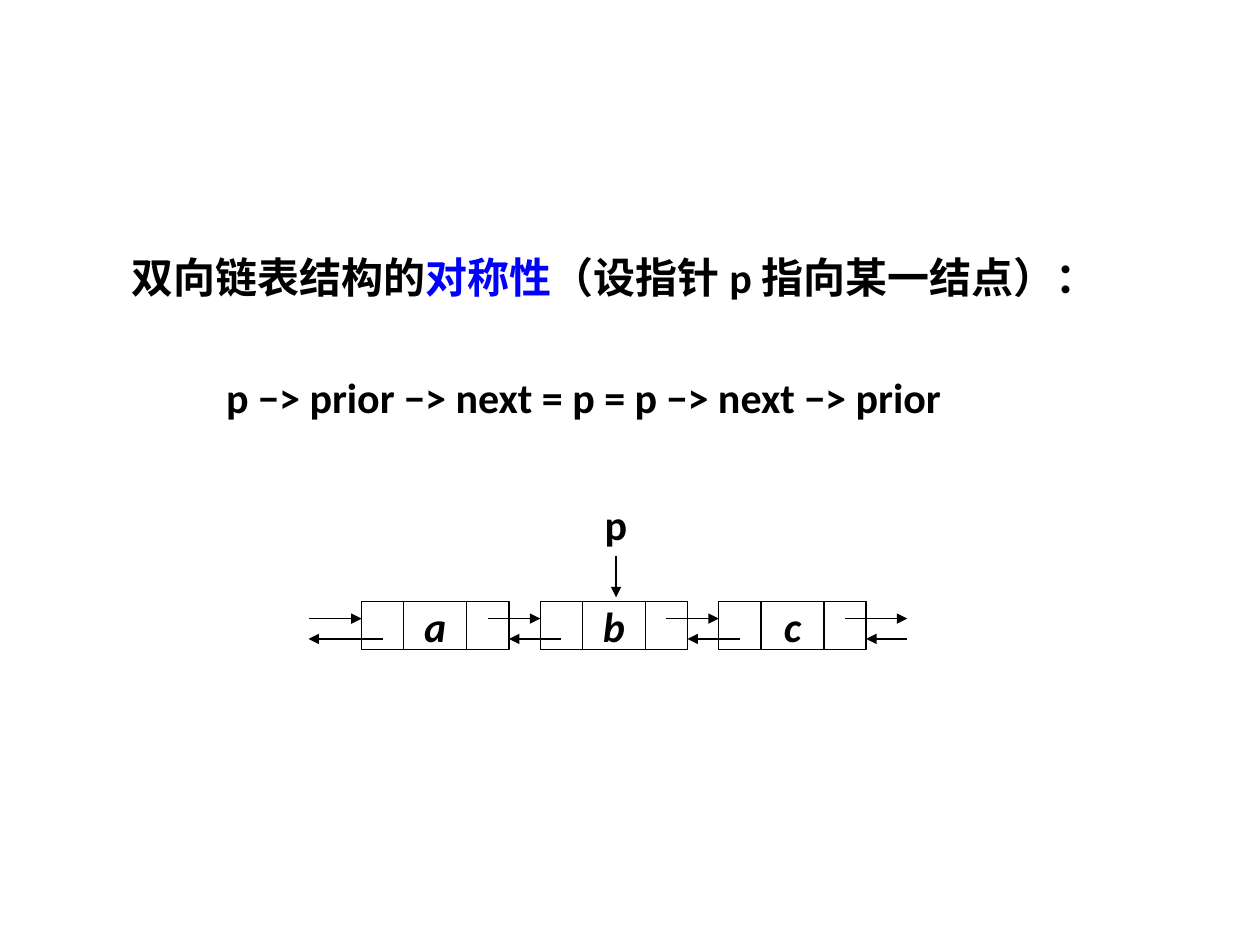
"""Build a slide on the symmetry of a doubly linked list."""
from dataclasses import dataclass

from lxml.etree import SubElement
from pptx import Presentation
from pptx.dml.color import RGBColor
from pptx.enum.shapes import MSO_CONNECTOR, MSO_SHAPE
from pptx.enum.text import MSO_ANCHOR, MSO_AUTO_SIZE, PP_ALIGN
from pptx.oxml.ns import qn
from pptx.util import Cm, Pt


@dataclass(frozen=True)
class Theme:
    font: str = "Calibri"
    ink: RGBColor = RGBColor(0, 0, 0)
    accent: RGBColor = RGBColor(0, 0, 255)
    size: Pt = Pt(24)
    space: Pt = Pt(5)
    leading: float = 2.2
    line: Pt = Pt(0.75)


def add_run(p, text, *, font, size, color, bold=True, italic=False):
    r = p.add_run()
    r.text = text
    r.font.name, r.font.size = font, size
    r.font.bold, r.font.italic = bold, italic
    r.font.color.rgb = color


class Painter:
    def __init__(self, slide, theme):
        self.s, self.theme = slide, theme

    def styled_run(self, p, text, color=None, italic=False):
        t = self.theme
        add_run(p, text, font=t.font, size=t.size, color=color or t.ink, italic=italic)

    def text(self, x, y, w, h, paragraphs, wrap=True, leading=None, space=None):
        tf = self.s.shapes.add_textbox(Cm(x), Cm(y), Cm(w), Cm(h)).text_frame
        tf.word_wrap = wrap
        tf.auto_size = MSO_AUTO_SIZE.SHAPE_TO_FIT_TEXT
        for i, (indent, runs) in enumerate(paragraphs):
            p = tf.add_paragraph() if i else tf.paragraphs[0]
            p.line_spacing, p.space_before = leading, space
            p._p.get_or_add_pPr().set("marL", str(Cm(indent)))
            for text, color in runs:
                self.styled_run(p, text, color)

    def cell(self, x, y, w, h, label=""):
        sp = self.s.shapes.add_shape(MSO_SHAPE.RECTANGLE, Cm(x), Cm(y), Cm(w), Cm(h))
        sp.shadow.inherit = False
        sp.fill.background()
        sp.line.color.rgb, sp.line.width = self.theme.ink, self.theme.line
        if label:
            tf = sp.text_frame
            tf.word_wrap = False
            tf.vertical_anchor = MSO_ANCHOR.MIDDLE
            p = tf.paragraphs[0]
            p.alignment, p.space_before = PP_ALIGN.CENTER, self.theme.space
            self.styled_run(p, label, italic=True)

    def arrow(self, x1, y1, x2, y2):
        c = self.s.shapes.add_connector(MSO_CONNECTOR.STRAIGHT, Cm(x1), Cm(y1), Cm(x2), Cm(y2))
        c.line.color.rgb, c.line.width = self.theme.ink, self.theme.line
        SubElement(c.line._get_or_add_ln(), qn("a:tailEnd"), type="triangle")
        SubElement(c._element.spPr, qn("a:effectLst"))


def draw_list(painter, labels):
    left, top, height = 7.29, 12.12, 0.97
    link, data, pitch = 0.85, 1.27, 3.6
    next_y, prior_y = 12.47, 12.88
    list_start, list_end = 6.22, 18.29
    width = 2 * link + data
    starts = [left + i * pitch for i in range(len(labels))]

    for x, label in zip(starts, labels):
        painter.cell(x + link, top, data, height, label)
        painter.cell(x + link + data, top, link, height)
        painter.cell(x, top, link, height)

    next_tails = [list_start] + [x + width - link / 2 for x in starts]
    next_heads = starts + [list_end]
    prior_tails = [x + link / 2 for x in starts] + [list_end]
    prior_heads = [list_start] + [x + width for x in starts]
    for tail, head in zip(next_tails, next_heads):
        painter.arrow(tail, next_y, head, next_y)
    for tail, head in zip(prior_tails, prior_heads):
        painter.arrow(tail, prior_y, head, prior_y)


def main():
    prs = Presentation()
    prs.slide_width, prs.slide_height = Cm(25.4), Cm(19.05)
    theme = Theme()
    painter = Painter(prs.slides.add_slide(prs.slide_layouts[6]), theme)

    statement = [
        (1.55, [("双向链表结构的", theme.ink), ("对称性", theme.accent),
                ("（设指针 p 指向某一结点）：", theme.ink)]),
        (3.45, [("p −> prior −> next = p = p −> next −> prior", theme.ink)]),
    ]
    painter.text(0.86, 3.73, 22.76, 4.93, statement, leading=theme.leading, space=theme.space)
    painter.arrow(12.42, 11.2, 12.42, 12.04)
    painter.text(11.94, 9.93, 1.19, 1.27, [(0, [("p", theme.ink)])], wrap=False)
    draw_list(painter, "abc")
    prs.save("out.pptx")


if __name__ == "__main__":
    main()
